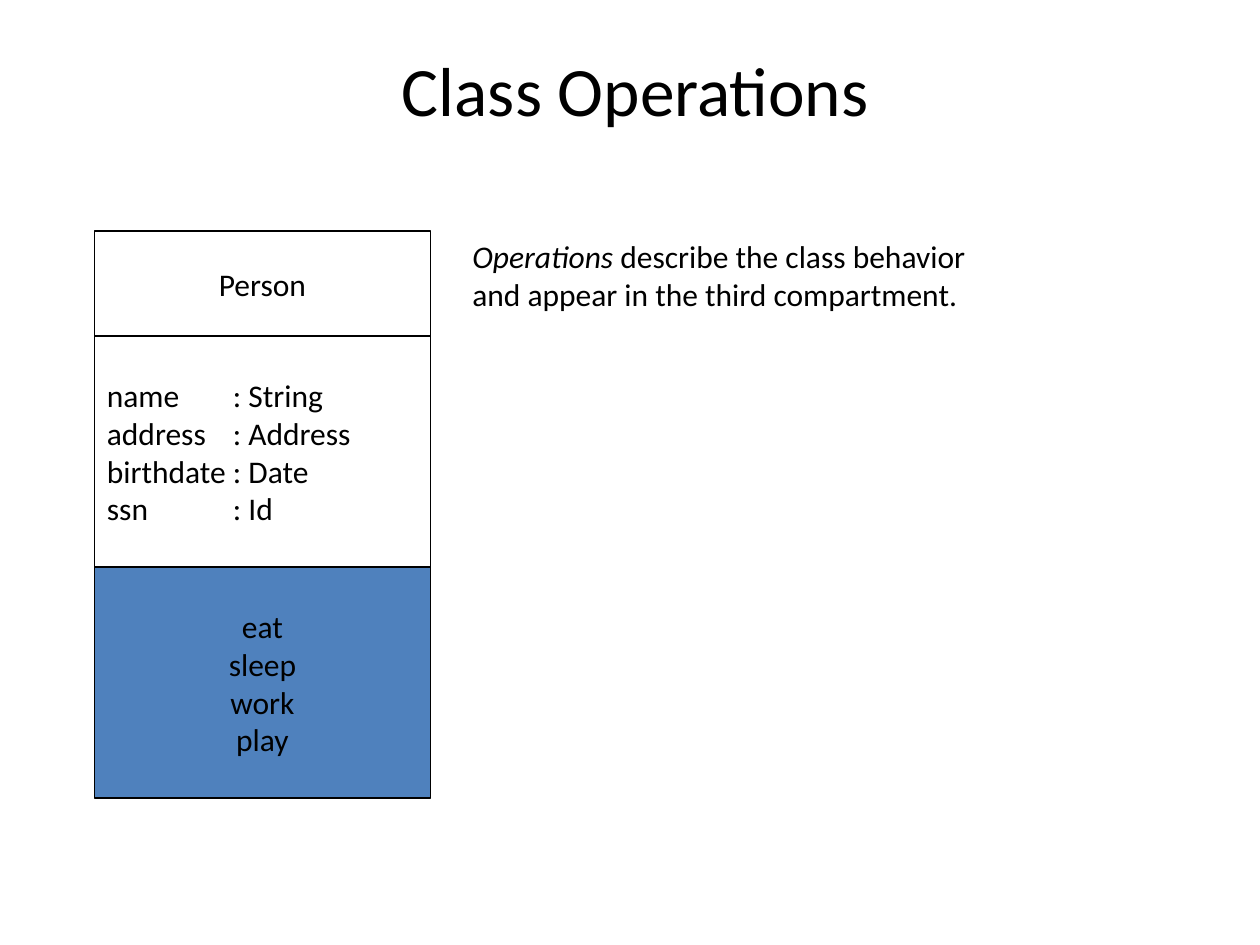
from lxml.etree import SubElement
from pptx import Presentation
from pptx.dml.color import RGBColor
from pptx.enum.shapes import MSO_SHAPE
from pptx.enum.text import MSO_ANCHOR as Anchor, PP_ALIGN as Align
from pptx.oxml.ns import qn
from pptx.util import Inches, Pt

BLACK = RGBColor(0, 0, 0)
WHITE = RGBColor(255, 255, 255)
BLUE = RGBColor(0x4F, 0x81, 0xBD)

CELL = Inches(1) // 12
COLUMNS, ROWS = 120, 90
TYPE_TAB = Inches(1)
BODY_SIZE = 18


def on_grid(*cells):
    return [round(cell * CELL) for cell in cells]


def apply_format(target, values):
    for name, value in values.items():
        setattr(target, name, value)


def add_tab_stop(paragraph, position):
    tabs = SubElement(paragraph._p.get_or_add_pPr(), qn("a:tabLst"))
    SubElement(tabs, qn("a:tab"), pos=str(position), algn="l")


def write_text(shape, lines, size, align, anchor):
    frame = shape.text_frame
    apply_format(frame, {"word_wrap": True, "vertical_anchor": anchor})
    for index, line in enumerate(lines):
        paragraph = frame.add_paragraph() if index else frame.paragraphs[0]
        paragraph.alignment = align
        if any("\t" in text for text, italic in line):
            add_tab_stop(paragraph, TYPE_TAB)
        for text, italic in line:
            run = paragraph.add_run()
            run.text = text
            apply_format(run.font, {"name": "Calibri", "size": Pt(size), "italic": italic})
            run.font.color.rgb = BLACK


def plain(*texts):
    return [[(text, False)] for text in texts]


def add_text(slide, box, lines, size, align, anchor):
    text_box = slide.shapes.add_textbox(*on_grid(*box))
    write_text(text_box, lines, size, align, anchor)


def add_compartment(shapes, box, lines, fill, align):
    shape = shapes.add_shape(MSO_SHAPE.RECTANGLE, *on_grid(*box))
    shape.shadow.inherit = False
    shape.fill.solid()
    shape.fill.fore_color.rgb = fill
    shape.line.color.rgb = BLACK
    shape.line.width = Pt(0.75)
    write_text(shape, lines, BODY_SIZE, align, Anchor.MIDDLE)


def add_class_diagram(slide, box, compartments):
    left, top, width, height = box
    group = slide.shapes.add_group_shape()
    total = sum(rows for rows, *rest in compartments)
    for rows, texts, fill, align in compartments:
        share = height * rows / total
        add_compartment(group.shapes, (left, top, width, share), plain(*texts), fill, align)
        top += share


def main():
    presentation = Presentation()
    presentation.slide_width = COLUMNS * CELL
    presentation.slide_height = ROWS * CELL
    slide = presentation.slides.add_slide(presentation.slide_layouts[6])

    add_text(slide, (9, 5, 103, 7), plain("Class Operations"), 39.6, Align.CENTER, Anchor.MIDDLE)

    attributes = ("name\t: String", "address\t: Address", "birthdate\t: Date", "ssn\t: Id")
    operations = ("eat", "sleep", "work", "play")
    add_class_diagram(slide, (9, 22, 32, 54), [
        (10, ("Person",), WHITE, Align.CENTER),
        (22, attributes, WHITE, Align.LEFT),
        (22, operations, BLUE, Align.CENTER),
    ])

    description = [
        [("Operations ", True), ("describe the class behavior", False)],
        [("and appear in the third compartment.", False)],
    ]
    add_text(slide, (43.8, 22, 65.4, 10.8), description, BODY_SIZE, Align.LEFT, Anchor.TOP)

    presentation.save("out.pptx")


if __name__ == "__main__":
    main()
